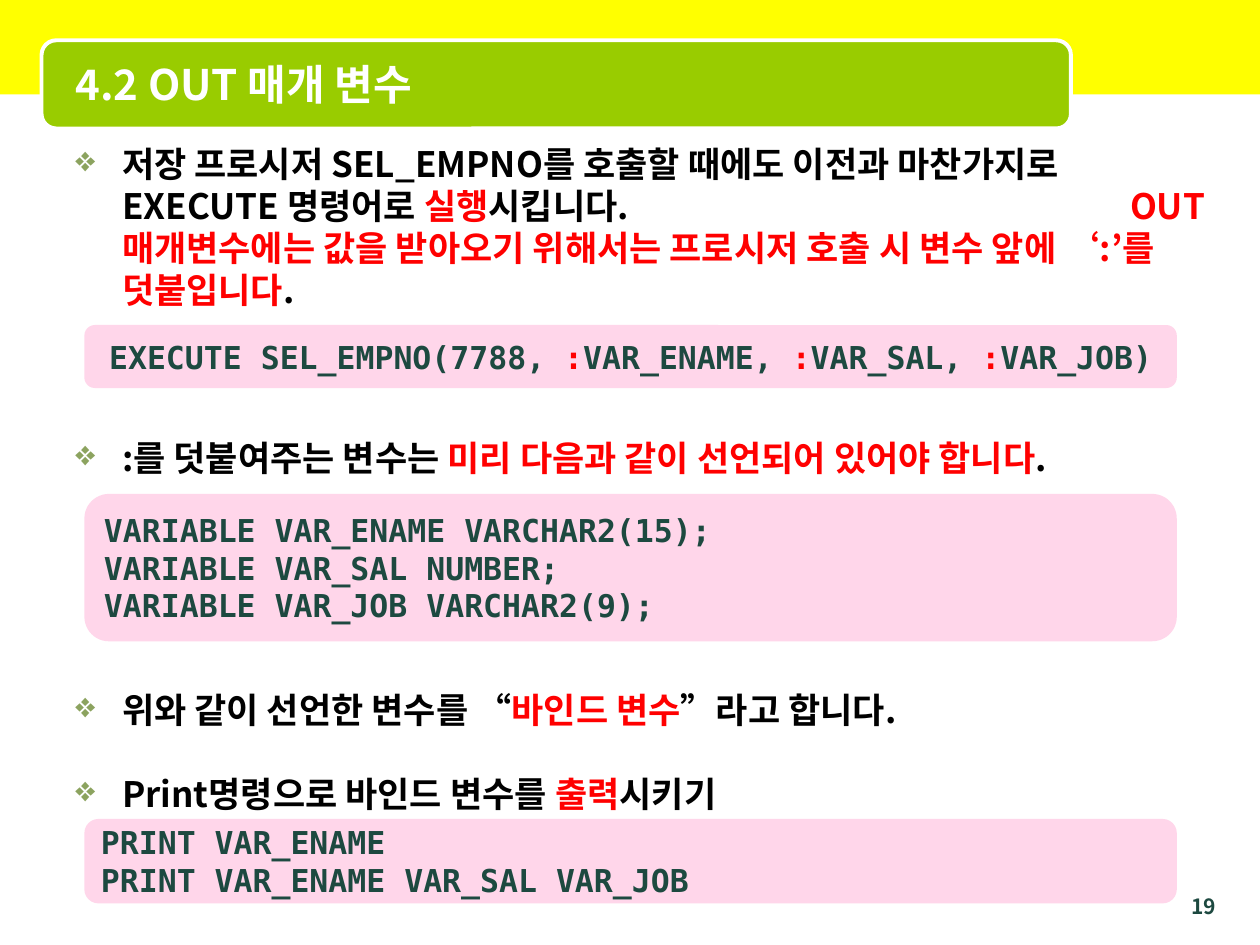
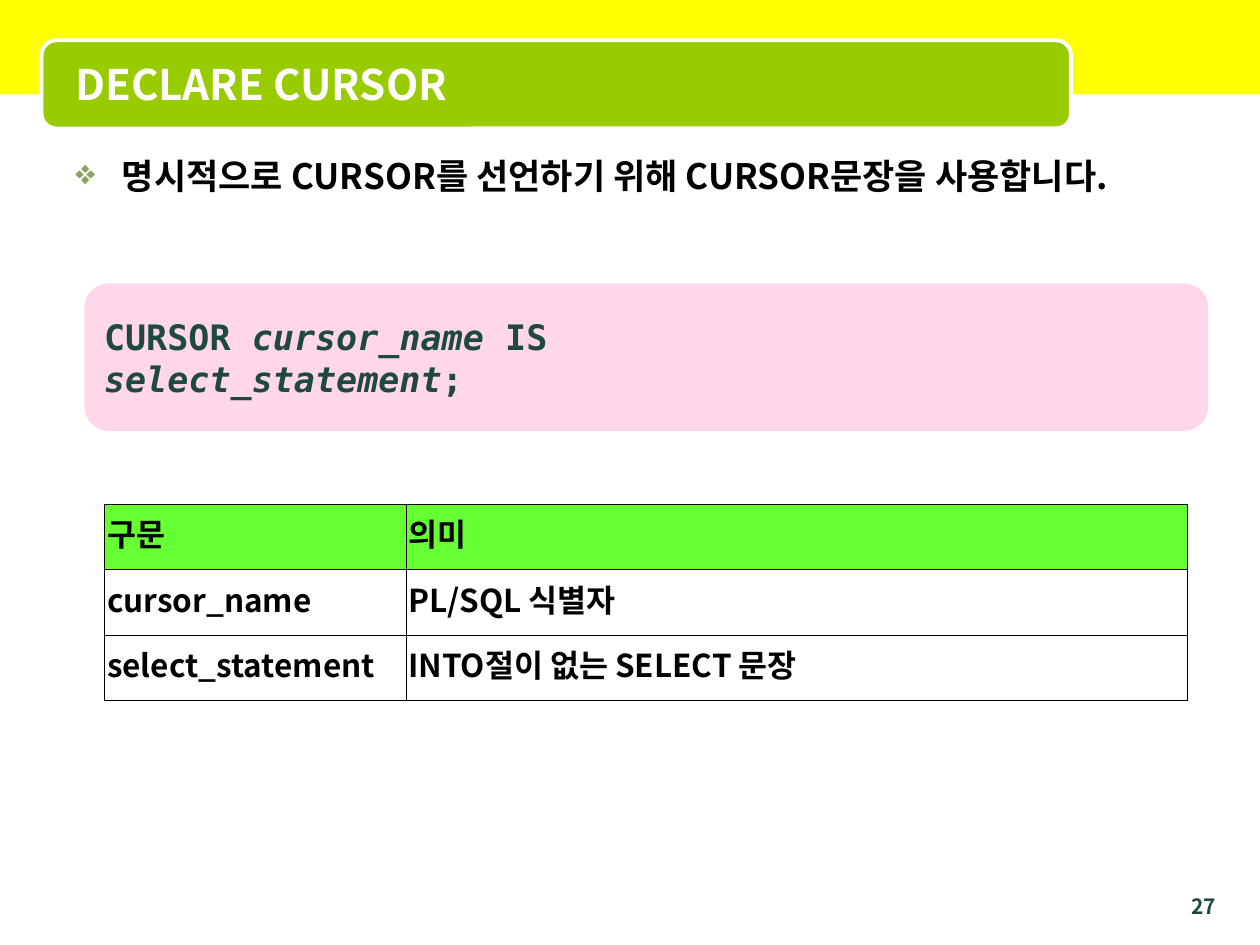
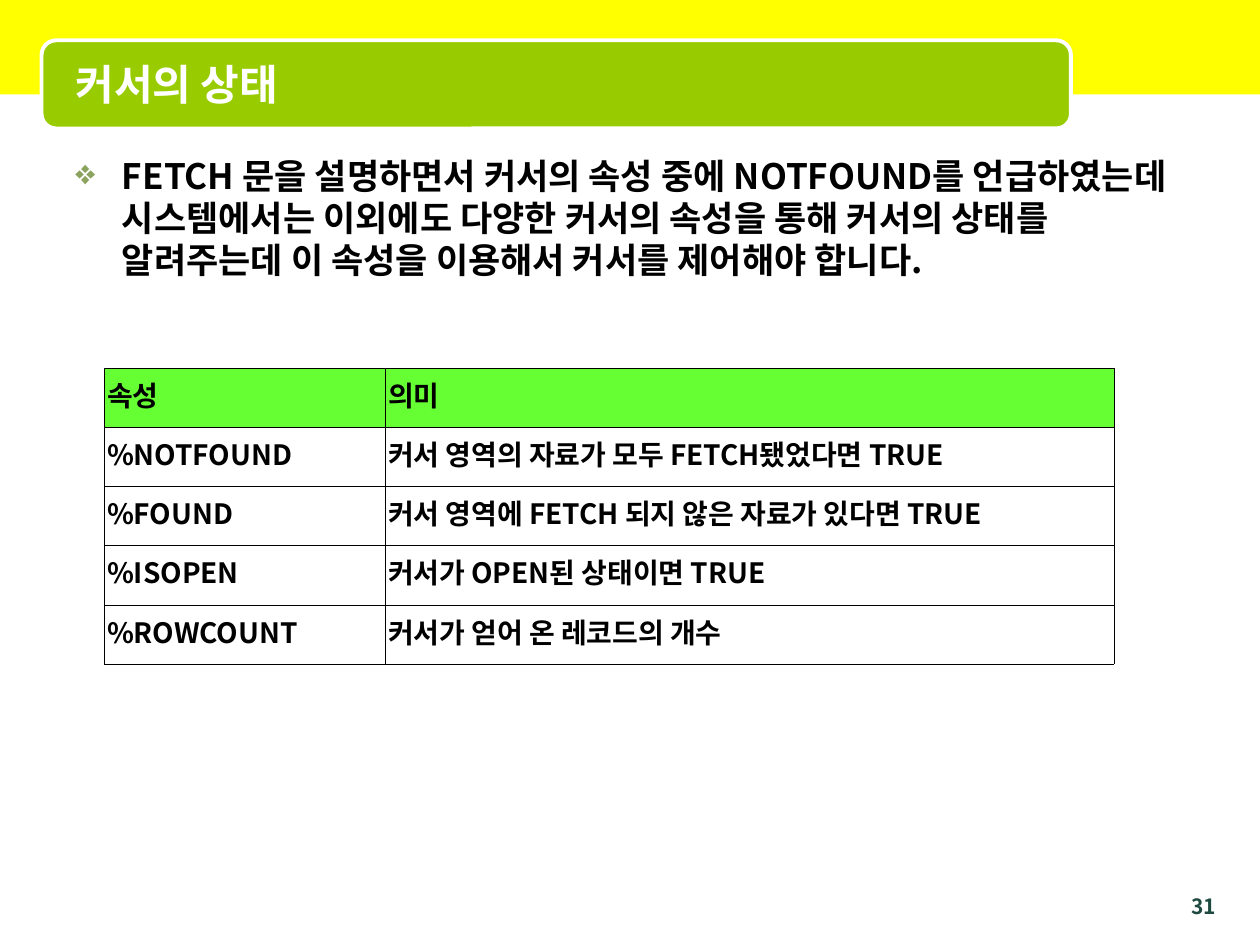
"""Build three lecture slides on stored procedure parameters and cursors."""
import dataclasses
import typing

import lxml.etree
import pptx
import pptx.dml.color
import pptx.enum.shapes
import pptx.enum.text
import pptx.oxml.ns
import pptx.util

Inches = pptx.util.Inches
Pt = pptx.util.Pt
Shapes = pptx.enum.shapes.MSO_SHAPE
Align = pptx.enum.text.PP_ALIGN
Anchor = pptx.enum.text.MSO_ANCHOR
qn = pptx.oxml.ns.qn

COLORS = {
    "band": "FFFF00",
    "title_bar": "99CC00",
    "white": "FFFFFF",
    "black": "000000",
    "accent": "FF0000",
    "code": "1D4940",
    "code_box": "FF99CC",
    "bullet": "8CA35F",
    "table_head": "66FF33",
}
BODY_FONT = "Noto Sans CJK KR"
CODE_FONT = "DejaVu Sans Mono"
LINE_RATIO = 1.2
BULLET_INDENT = 0.37
BOX_LEFT = 0.67
TABLE_LEFT = 0.83


class Box(typing.NamedTuple):
    left: float
    top: float
    width: float
    height: float


@dataclasses.dataclass(frozen=True)
class Span:
    text: str
    color: str = "black"
    italic: bool = False


@dataclasses.dataclass(frozen=True)
class Style:
    size: float
    color: str = "black"
    font: str = BODY_FONT


@dataclasses.dataclass(frozen=True)
class Bullet:
    spans: list[Span]
    before: float = 24
    tab: float | None = None


@dataclasses.dataclass(frozen=True)
class CodeBox:
    area: Box
    lines: list[list[Span]]
    size: float = 18
    align: Align = Align.LEFT


@dataclasses.dataclass(frozen=True)
class Grid:
    top: float
    columns: tuple[float, float]
    row_height: float
    size: float
    rows: list[tuple[str, str]]


@dataclasses.dataclass(frozen=True)
class Lesson:
    number: int
    title: str
    body: Box
    bullets: list[Bullet]
    code: list[CodeBox] = dataclasses.field(default_factory=list)
    grid: Grid | None = None


def emu(area: Box) -> list[int]:
    return [Inches(length) for length in area]


def rgb(name: str) -> pptx.dml.color.RGBColor:
    return pptx.dml.color.RGBColor.from_string(COLORS[name])


def write(paragraph, spans: list[Span], style: Style, align: Align = Align.LEFT) -> None:
    paragraph.alignment = align
    paragraph.line_spacing = Pt(style.size * LINE_RATIO)
    for span in spans:
        run = paragraph.add_run()
        run.text = span.text
        run.font.size = Pt(style.size)
        run.font.bold = True
        run.font.italic = span.italic
        run.font.color.rgb = rgb(span.color)
        run.font.name = style.font
        lxml.etree.SubElement(run.font._element, qn("a:ea"), typeface=style.font)


def add_panel(slide, kind: Shapes, area: Box, color: str):
    panel = slide.shapes.add_shape(kind, *emu(area))
    panel.shadow.inherit = False
    panel.fill.solid()
    panel.fill.fore_color.rgb = rgb(color)
    panel.line.fill.background()
    return panel


def add_text(slide, area: Box, text: str, style: Style, align: Align, anchor: Anchor) -> None:
    frame = slide.shapes.add_textbox(*emu(area)).text_frame
    frame.word_wrap = True
    frame.vertical_anchor = anchor
    write(frame.paragraphs[0], [Span(text, style.color)], style, align)


def add_frame(slide, lesson: Lesson) -> None:
    add_panel(slide, Shapes.RECTANGLE, Box(0, 0, 10, 0.75), "band")
    title_bar = add_panel(slide, Shapes.ROUNDED_RECTANGLE, Box(0.33, 0.32, 8.17, 0.7), "title_bar")
    title_bar.line.color.rgb = rgb("white")
    title_bar.line.width = Pt(2.25)
    add_text(slide, Box(9.25, 7.04, 0.5, 0.21), str(lesson.number),
             Style(12, "code"), Align.RIGHT, Anchor.TOP)
    add_text(slide, Box(0.5, 0.35, 7.92, 0.62), lesson.title,
             Style(24, "white"), Align.LEFT, Anchor.MIDDLE)


def add_bullets(slide, area: Box, bullets: list[Bullet]) -> None:
    frame = slide.shapes.add_textbox(*emu(area)).text_frame
    frame.word_wrap = True
    for index, bullet in enumerate(bullets):
        paragraph = frame.add_paragraph() if index else frame.paragraphs[0]
        write(paragraph, bullet.spans, Style(20))
        paragraph.space_before = Pt(bullet.before if index else 0)
        properties = paragraph._p.get_or_add_pPr()
        properties.set("marL", str(Inches(BULLET_INDENT)))
        properties.set("indent", str(-Inches(BULLET_INDENT)))
        tint = lxml.etree.SubElement(properties, qn("a:buClr"))
        lxml.etree.SubElement(tint, qn("a:srgbClr"), val=COLORS["bullet"])
        lxml.etree.SubElement(properties, qn("a:buChar"), char="❖")
        if bullet.tab:
            stops = lxml.etree.SubElement(properties, qn("a:tabLst"))
            lxml.etree.SubElement(stops, qn("a:tab"), pos=str(Inches(bullet.tab)), algn="l")


def add_code(slide, code: CodeBox) -> None:
    panel = add_panel(slide, Shapes.ROUNDED_RECTANGLE, code.area, "code_box")
    tint = panel._element.spPr.find(qn("a:solidFill")).find(qn("a:srgbClr"))
    lxml.etree.SubElement(tint, qn("a:alpha"), val="40000")
    frame = panel.text_frame
    frame.word_wrap = False
    frame.vertical_anchor = Anchor.MIDDLE
    for index, line in enumerate(code.lines):
        paragraph = frame.add_paragraph() if index else frame.paragraphs[0]
        write(paragraph, line, Style(code.size, "code", CODE_FONT), code.align)


def add_borders(cell) -> None:
    properties = cell._tc.get_or_add_tcPr()
    for index, side in enumerate(("a:lnL", "a:lnR", "a:lnT", "a:lnB")):
        border = lxml.etree.Element(qn(side), w=str(Pt(0.11)))
        paint = lxml.etree.SubElement(border, qn("a:solidFill"))
        lxml.etree.SubElement(paint, qn("a:srgbClr"), val=COLORS["black"])
        properties.insert(index, border)


def add_grid(slide, grid: Grid) -> None:
    area = Box(TABLE_LEFT, grid.top, sum(grid.columns), grid.row_height * len(grid.rows))
    table = slide.shapes.add_table(len(grid.rows), len(grid.columns), *emu(area)).table
    table.first_row = table.horz_banding = False
    for column, width in zip(table.columns, grid.columns):
        column.width = Inches(width)
    for row_index, texts in enumerate(grid.rows):
        table.rows[row_index].height = Inches(grid.row_height)
        for column_index, text in enumerate(texts):
            cell = table.cell(row_index, column_index)
            cell.margin_left = cell.margin_right = Inches(0.02)
            cell.vertical_anchor = Anchor.MIDDLE
            if row_index:
                cell.fill.background()
            else:
                cell.fill.solid()
                cell.fill.fore_color.rgb = rgb("table_head")
            add_borders(cell)
            write(cell.text_frame.paragraphs[0], [Span(text)], Style(grid.size), Align.JUSTIFY)


def code_line(text: str) -> list[Span]:
    return [Span(text, "code")]


def bind_call(opening: str, variables: list[str]) -> list[Span]:
    pairs = [[Span(":", "accent"), Span(name, "code")] for name in variables]
    return sum(pairs, [Span(opening, "code")])


LESSONS = [
    Lesson(
        19, "4.2 OUT 매개 변수", Box(0.5, 1.08, 9.25, 6.25),
        [
            Bullet([
                Span("저장 프로시저 SEL_EMPNO를 호출할 때에도 이전과 마찬가지로 EXECUTE 명령어로 "),
                Span("실행", "accent"),
                Span("시킵니다.\t"),
                Span("OUT 매개변수에는 값을 받아오기 위해서는 프로시저 호출 시 변수 앞에 ‘:’를 덧붙입니다", "accent"),
                Span("."),
            ], tab=8.37),
            Bullet([
                Span(":를 덧붙여주는 변수는 "),
                Span("미리 다음과 같이 선언되어 있어야 합니다", "accent"),
                Span("."),
            ], before=72),
            Bullet([
                Span("위와 같이 선언한 변수를 “"),
                Span("바인드 변수", "accent"),
                Span("”라고 합니다."),
            ], before=120),
            Bullet([
                Span("Print명령으로 바인드 변수를 "),
                Span("출력", "accent"),
                Span("시키기"),
            ]),
        ],
        code=[
            CodeBox(
                Box(BOX_LEFT, 2.58, 8.67, 0.5),
                [bind_call("EXECUTE SEL_EMPNO(7788, ", ["VAR_ENAME, ", "VAR_SAL, ", "VAR_JOB)"])],
                align=Align.CENTER,
            ),
            CodeBox(
                Box(BOX_LEFT, 3.92, 8.67, 1.17),
                [
                    code_line("VARIABLE VAR_ENAME VARCHAR2(15);"),
                    code_line("VARIABLE VAR_SAL NUMBER;"),
                    code_line("VARIABLE VAR_JOB VARCHAR2(9);"),
                ],
            ),
            CodeBox(
                Box(BOX_LEFT, 6.5, 8.67, 0.67),
                [code_line("PRINT VAR_ENAME"), code_line("PRINT VAR_ENAME VAR_SAL VAR_JOB")],
            ),
        ],
    ),
    Lesson(
        27, "DECLARE CURSOR", Box(0.5, 1.18, 9, 6.14),
        [Bullet([Span("명시적으로 CURSOR를 선언하기 위해 CURSOR문장을 사용합니다.")])],
        code=[
            CodeBox(
                Box(BOX_LEFT, 2.25, 8.92, 1.17),
                [
                    [Span("CURSOR ", "code"), Span("cursor_name", "code", True), Span(" IS", "code")],
                    [Span("select_statement", "code", True), Span(";", "code")],
                ],
                size=20,
            ),
        ],
        grid=Grid(4, (2.39, 6.2), 0.52, 18, [
            ("구문", "의미"),
            ("cursor_name", "PL/SQL 식별자"),
            ("select_statement", "INTO절이 없는 SELECT 문장"),
        ]),
    ),
    Lesson(
        31, "커서의 상태", Box(0.5, 1.18, 9, 6.14),
        [Bullet([Span(
            "FETCH 문을 설명하면서 커서의 속성 중에 NOTFOUND를 언급하였는데 시스템에서는 이외에도 "
            "다양한 커서의 속성을 통해 커서의 상태를 알려주는데 이 속성을 이용해서 커서를 제어해야 합니다."
        )])],
        grid=Grid(2.92, (2.23, 5.78), 0.47, 16, [
            ("속성", "의미"),
            ("%NOTFOUND", "커서 영역의 자료가 모두 FETCH됐었다면 TRUE"),
            ("%FOUND", "커서 영역에 FETCH 되지 않은 자료가 있다면 TRUE"),
            ("%ISOPEN", "커서가 OPEN된 상태이면 TRUE"),
            ("%ROWCOUNT", "커서가 얻어 온 레코드의 개수"),
        ]),
    ),
]


def main() -> None:
    deck = pptx.Presentation()
    deck.slide_width, deck.slide_height = Inches(10), Inches(7.5)
    for lesson in LESSONS:
        slide = deck.slides.add_slide(deck.slide_layouts[6])
        add_frame(slide, lesson)
        add_bullets(slide, lesson.body, lesson.bullets)
        for code in lesson.code:
            add_code(slide, code)
        if lesson.grid:
            add_grid(slide, lesson.grid)
    deck.save("out.pptx")


if __name__ == "__main__":
    main()
